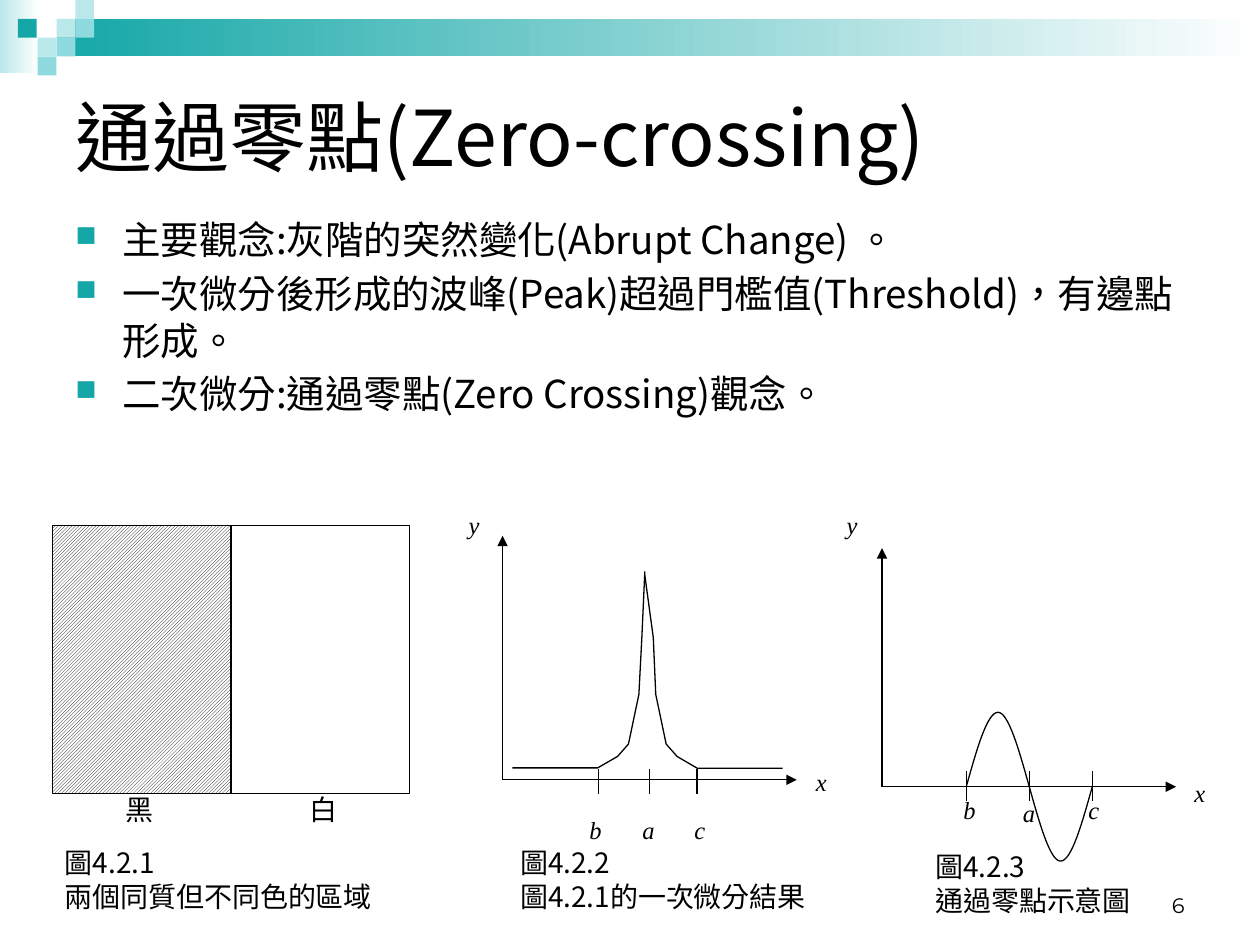
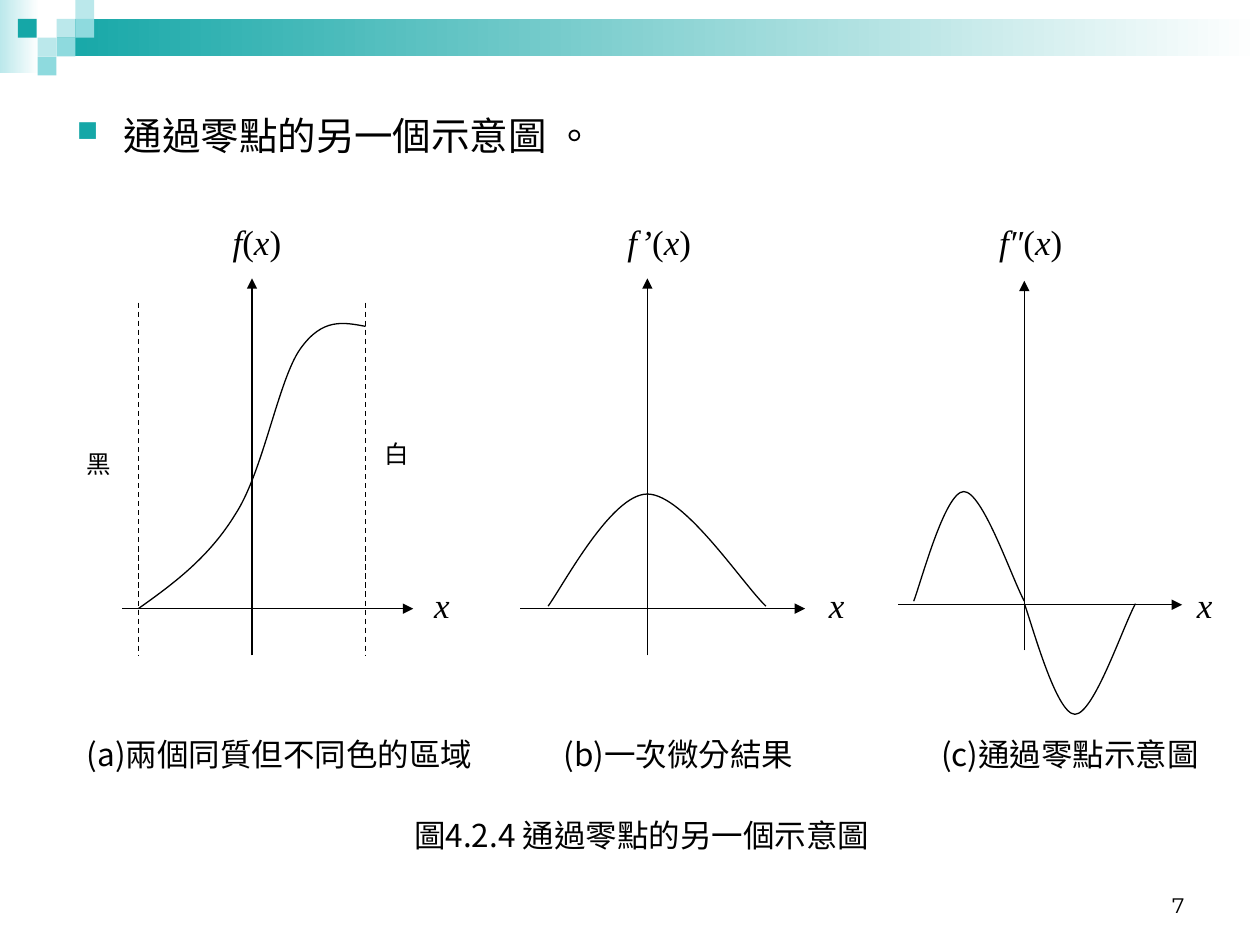
"""Build two slides on zero crossings, with sketched curves and captions."""
from itertools import groupby
from lxml import etree
from pptx import Presentation
from pptx.dml.color import RGBColor
from pptx.enum.dml import MSO_LINE, MSO_PATTERN
from pptx.enum.shapes import MSO_CONNECTOR, MSO_SHAPE
from pptx.enum.text import MSO_ANCHOR as ANCHOR, MSO_AUTO_SIZE as FIT, PP_ALIGN as ALIGN
from pptx.oxml.ns import qn
from pptx.util import Cm, Pt

BLACK = RGBColor(0x00, 0x00, 0x00)
WHITE = RGBColor(0xFF, 0xFF, 0xFF)
TEAL = RGBColor(0x15, 0xA7, 0xA7)
AQUA = RGBColor(0x8E, 0xDA, 0xDE)
PALE = RGBColor(0xBB, 0xE8, 0xEB)
SANS, SERIF, DIGIT = "Noto Sans CJK SC", "Times New Roman", "Montserrat"
THIN = Pt(0.75)


def write(shape, text, font, size, align=ALIGN.LEFT, anchor=ANCHOR.TOP,
          wrap=True, italic=False, bullet=False):
    frame = shape.text_frame
    look = {"word_wrap": wrap, "vertical_anchor": anchor,
            "auto_size": FIT.NONE if wrap else FIT.SHAPE_TO_FIT_TEXT}
    for key, value in look.items():
        setattr(frame, key, value)
    for row, words in enumerate(text.split("\n")):
        para = frame.add_paragraph() if row else frame.paragraphs[0]
        para.alignment = align
        if bullet:
            para.space_before = Pt(4.4)
            props = para._p.get_or_add_pPr()
            props.set("marL", str(Cm(0.95)))
            props.set("indent", str(-Cm(0.95)))
            color = etree.SubElement(props, qn("a:buClr"))
            etree.SubElement(color, qn("a:srgbClr"), val=str(TEAL))
            etree.SubElement(props, qn("a:buSzPct"), val="75000")
            etree.SubElement(props, qn("a:buFont"), typeface="Wingdings", charset="2")
            etree.SubElement(props, qn("a:buChar"), char="n")
        for slant, part in groupby(words, lambda c: italic and c not in "()"):
            run = para.add_run()
            run.text = "".join(part)
            for key, value in {"name": font, "size": Pt(size), "italic": slant}.items():
                setattr(run.font, key, value)
            run.font.color.rgb = BLACK
            props = run._r.get_or_add_rPr()
            props.set("lang", "zh-TW")
            etree.SubElement(props, qn("a:ea"), typeface=SANS)


def rule(slide, x1, y1, x2, y2, arrow=False, dash=False):
    line = slide.shapes.add_connector(MSO_CONNECTOR.STRAIGHT, Cm(x1), Cm(y1), Cm(x2), Cm(y2))
    line.line.width = THIN
    line.line.color.rgb = BLACK
    if dash:
        line.line.dash_style = MSO_LINE.DASH
    if arrow:
        etree.SubElement(line.line._get_or_add_ln(), qn("a:tailEnd"), type="triangle")
    etree.SubElement(line._element.spPr, qn("a:effectLst"))


deck = Presentation()
deck.slide_width, deck.slide_height = Cm(25.4), Cm(19.05)
first = deck.slides.add_slide(deck.slide_layouts[5])
second = deck.slides.add_slide(deck.slide_layouts[6])

UNIT = 0.38
tiles = [
    (0, 0, 0.79, 1.47, PALE, True),
    (1.14, UNIT, 24.26, 2 * UNIT, TEAL, True),
    (0.36, UNIT, UNIT, UNIT, TEAL, False),
]
for col, row, color in [(3, 1, PALE), (4, 0, PALE), (4, 1, AQUA),
                        (2, 2, PALE), (3, 2, AQUA), (2, 3, AQUA)]:
    tiles.append((col * UNIT, row * UNIT, UNIT, UNIT, color, False))
tree = deck.slide_master.shapes._spTree
for order, (x, y, w, h, color, fade) in enumerate(tiles):
    tile = first.shapes.add_shape(MSO_SHAPE.RECTANGLE, Cm(x), Cm(y), Cm(w), Cm(h))
    tile.shadow.inherit = False
    tile.line.fill.background()
    if fade:
        tile.fill.gradient()
        tile.fill.gradient_angle = 0
        for stop, tint in zip(tile.fill.gradient_stops, (color, WHITE)):
            stop.color.rgb = tint
    else:
        tile.fill.solid()
        tile.fill.fore_color.rgb = color
    tree.insert(2 + order, tile._element)

title = first.shapes.title
title.left, title.top, title.width, title.height = Cm(1.27), Cm(0.84), Cm(22.86), Cm(3.81)
write(title, "通過零點(Zero-crossing)", SANS, 44, anchor=ANCHOR.MIDDLE)

points = ("主要觀念:灰階的突然變化(Abrupt Change) 。\n"
          "一次微分後形成的波峰(Peak)超過門檻值(Threshold)，有邊點形成。\n"
          "二次微分:通過零點(Zero Crossing)觀念。")
for slide, x, y, h, text in [(first, 1.27, 4.24, 5.28, points),
                             (second, 1.3, 2.13, 1.6, "通過零點的另一個示意圖 。")]:
    box = slide.shapes.add_textbox(Cm(x), Cm(y), Cm(22.86), Cm(h))
    write(box, text, SANS, 22, bullet=True)

for slide, digit in [(first, "6"), (second, "7")]:
    box = slide.shapes.add_textbox(Cm(18.21), Cm(17.35), Cm(5.92), Cm(1.27))
    write(box, digit, DIGIT, 12, align=ALIGN.RIGHT, anchor=ANCHOR.BOTTOM)

SIDE = 3.6
for place, name in enumerate("黑白"):
    area = first.shapes.add_shape(MSO_SHAPE.RECTANGLE, Cm(1.06 + place * SIDE), Cm(10.59),
                                  Cm(SIDE), Cm(5.41))
    area.shadow.inherit = False
    area.line.color.rgb = BLACK
    area.line.width = THIN
    if name == "黑":
        area.fill.patterned()
        area.fill.pattern = MSO_PATTERN.DARK_UPWARD_DIAGONAL
        area.fill.fore_color.rgb = BLACK
        area.fill.back_color.rgb = WHITE
    else:
        area.fill.solid()
        area.fill.fore_color.rgb = WHITE
    box = first.shapes.add_textbox(Cm(2.27 + place * 3.71), Cm(15.85), Cm(1.07), Cm(0.94))
    write(box, name, SERIF, 16, align=ALIGN.CENTER, wrap=False)

for x, y, end, top in [(10.13, 15.72, 16.06, 10.8), (17.78, 15.86, 23.71, 11.05)]:
    rule(first, x, y, x, top, arrow=True)
    rule(first, x, y, end, y, arrow=True)
for x in (12.06, 13.1, 14.05):
    rule(first, x, 15.5, x, 16)
for step in range(3):
    x = 19.48 + step * 1.27
    rule(first, x, 15.55, x, 16.15)

for left, end, y, mid, low, top in [(2.46, 8.33, 12.27, 5.08, 13.21, 5.61),
                                    (10.49, 16.23, 12.27, 13.05, 13.21, 5.61),
                                    (18.11, 23.83, 12.19, 20.65, 13.11, 5.66)]:
    rule(second, left, y, end, y, arrow=True)
    rule(second, mid, low, mid, top, arrow=True)
for x in (2.79, 7.37):
    rule(second, x, 6.1, x, 13.21, dash=True)

rise = [(10.33, 15.48), (12.05, 15.48), (12.45, 15.25), (12.67, 15), (12.88, 14),
        (12.94, 12.85), (13, 11.52)]
fall = [(15.78, 15.49), (14.06, 15.49), (13.65, 15.25), (13.43, 15), (13.22, 14),
        (13.17, 12.85), (13, 11.6)]
crest = [(19.48, 15.86), (19.69, 15.11), (19.9, 14.36), (20.12, 14.36),
         (20.33, 14.36), (20.54, 15.11), (20.75, 15.86)]
trough = [(22.02, 15.86), (21.81, 16.61), (21.6, 17.36), (21.38, 17.36),
          (21.17, 17.36), (20.96, 16.61), (20.75, 15.86)]
climb = [(2.79, 12.27), (3.51, 11.76), (4.22, 11.23), (4.75, 10.36),
         (5.31, 9.5), (5.61, 7.67), (6.05, 7.04),
         (6.5, 6.4), (6.93, 6.5), (7.37, 6.58)]
hill = [(11.05, 12.22), (11.35, 11.81), (12.32, 9.96), (13.05, 9.96),
        (13.79, 9.96), (14.96, 11.76), (15.44, 12.22)]
swell = [(18.42, 12.12), (18.57, 11.73), (19.05, 9.91), (19.43, 9.91),
         (19.81, 9.91), (20.4, 11.66), (20.65, 12.12)]
dip = [(20.65, 12.17), (20.8, 12.57), (21.29, 14.4), (21.67, 14.4),
       (22.05, 14.4), (22.63, 12.65), (22.89, 12.17)]
for slide, knots, bent in [(first, rise, False), (first, fall, False),
                           (first, crest, True), (first, trough, True),
                           (second, climb, True), (second, hill, True),
                           (second, swell, True), (second, dip, True)]:
    trail = [(Cm(x), Cm(y)) for x, y in knots]
    pen = slide.shapes.build_freeform(*trail[0])
    pen.add_line_segments(trail[1:], close=False)
    curve = pen.convert_to_shape()
    curve.shadow.inherit = False
    curve.fill.background()
    curve.line.color.rgb = BLACK
    curve.line.width = THIN
    if bent:
        legs = list(curve._element.iter(qn("a:lnTo")))
        route = legs[0].getparent()
        for start in range(0, len(legs), 3):
            arc = etree.SubElement(route, qn("a:cubicBezTo"))
            for leg in legs[start:start + 3]:
                arc.append(leg[0])
                route.remove(leg)

for slide, text, x, y, w, size in [
        (first, "a", 12.7, 16.31, 0.75, 14), (first, "b", 11.63, 16.31, 0.75, 14),
        (first, "c", 13.75, 16.31, 0.75, 14), (first, "y", 9.2, 10.16, 0.75, 14),
        (first, "x", 16.2, 15.34, 0.75, 14), (first, "a", 20.37, 15.96, 0.75, 14),
        (first, "b", 19.17, 15.9, 0.75, 14), (first, "c", 21.69, 15.9, 0.75, 14),
        (first, "y", 16.82, 10.16, 0.75, 14), (first, "x", 23.83, 15.55, 0.75, 14),
        (second, "f(x)", 4.44, 4.32, 1.5, 20), (second, "f’(x)", 12.4, 4.32, 1.8, 20),
        (second, "f″(x)", 19.89, 4.32, 1.8, 20), (second, "x", 8.5, 11.63, 0.84, 20),
        (second, "x", 16.46, 11.63, 0.84, 20), (second, "x", 23.88, 11.63, 0.84, 20)]:
    box = slide.shapes.add_textbox(Cm(x), Cm(y), Cm(w), Cm(size * 0.06))
    write(box, text, SERIF, size, wrap=False, italic=True)

for text, x, y in [("黑", 1.5, 8.92), ("白", 7.5, 8.73)]:
    box = second.shapes.add_textbox(Cm(x), Cm(y), Cm(1.02), Cm(0.84))
    write(box, text, SERIF, 14, wrap=False)

for slide, text, x, y, w, h, size, align in [
        (first, "圖4.2.1\n兩個同質但不同色的區域", 1.06, 16.93, 6.73, 1.63, 16, ALIGN.LEFT),
        (first, "圖4.2.2\n圖4.2.1的一次微分結果", 10.24, 16.93, 6.32, 1.63, 16, ALIGN.LEFT),
        (first, "圖4.2.3\n通過零點示意圖", 18.61, 17.01, 4.47, 1.63, 16, ALIGN.LEFT),
        (second, "(a)兩個同質但不同色的區域", 1.5, 14.7, 8.36, 1.02, 18, ALIGN.LEFT),
        (second, "(b)一次微分結果", 11.11, 14.7, 5.16, 1.02, 18, ALIGN.LEFT),
        (second, "(c)通過零點示意圖", 18.7, 14.7, 5.74, 1.02, 18, ALIGN.CENTER),
        (second, "圖4.2.4 通過零點的另一個示意圖", 8.1, 16.33, 9.78, 1.02, 18, ALIGN.LEFT)]:
    box = slide.shapes.add_textbox(Cm(x), Cm(y), Cm(w), Cm(h))
    write(box, text, SANS, size, align=align)

deck.save("out.pptx")
